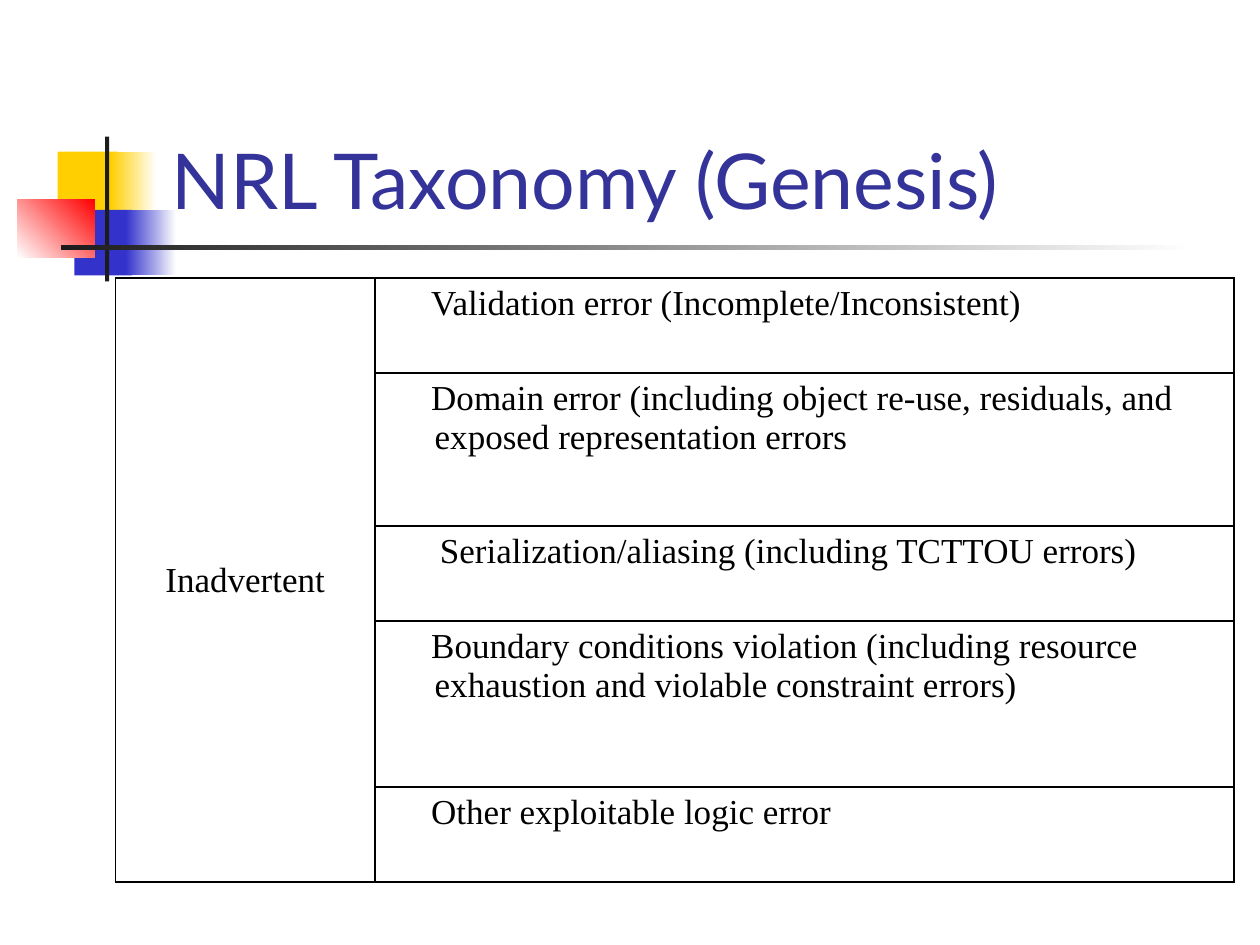
import pptx
import pptx.util
import pptx.dml.color
import pptx.enum.shapes
import pptx.enum.text
import pptx.oxml
import pptx.oxml.ns

Pt = pptx.util.Pt
PP_ALIGN = pptx.enum.text.PP_ALIGN
ANCHOR = pptx.enum.text.MSO_ANCHOR

COLORS = {
    "yellow": "FFCF01",
    "blue": "3333CC",
    "red": "FF0000",
    "dark": "1C1C1C",
    "white": "FFFFFF",
    "title": "333399",
    "text": "000000",
}

# Each error with its first-line indent relative to the hanging margin
ERRORS = [
    ("Validation error (Incomplete/Inconsistent)", -2),
    ("Domain error (including object re-use, residuals, and "
     "exposed representation errors", -2),
    ("Serialization/aliasing (including TCTTOU errors)", 3),
    ("Boundary conditions violation (including resource "
     "exhaustion and violable constraint errors)", -2),
    ("Other exploitable logic error", -2),
]


def rgb(name):
    return pptx.dml.color.RGBColor.from_string(COLORS[name])


def put_text(tf, text, size=20, font="Times New Roman", color="text",
             align=PP_ALIGN.LEFT, margin=0, indent=0):
    p = tf.paragraphs[0]
    p.alignment = align
    pPr = p._p.get_or_add_pPr()
    pPr.set("marL", str(Pt(margin)))
    pPr.set("indent", str(Pt(indent)))
    r = p.add_run()
    r.text = text
    r.font.size = Pt(size)
    r.font.name = font
    r.font.color.rgb = rgb(color)


def add_block(s, x, y, w, h, start, end=None, angle=0):
    """Rectangle in one colour, or fading from start to end."""
    sp = s.shapes.add_shape(pptx.enum.shapes.MSO_SHAPE.RECTANGLE,
                            Pt(x), Pt(y), Pt(w), Pt(h))
    sp.shadow.inherit = False
    sp.line.fill.background()
    if end is None:
        sp.fill.solid()
        sp.fill.fore_color.rgb = rgb(start)
        return
    sp.fill.gradient()
    sp.fill.gradient_angle = angle
    for stop, name, pos in zip(sp.fill.gradient_stops, (start, end), (0, 1)):
        stop.color.rgb = rgb(name)
        stop.position = pos


def add_ornament(s, x, y):
    """Coloured squares with the crossing bars, from the top left corner."""
    add_block(s, x + 23, y + 8.6, 34.5, 37.5, "yellow")
    add_block(s, x + 53.3, y + 8.6, 26, 37.5, "yellow", "white")
    add_block(s, x + 32.5, y + 42, 33, 37.4, "blue")
    add_block(s, x + 62, y + 42, 28.8, 37.4, "blue", "white")
    add_block(s, x, y + 36, 44.3, 33.4, "white", "red", angle=45)
    add_block(s, x + 50, y, 2.4, 82.8, "dark")
    add_block(s, x + 25, y + 62.2, 648, 2.5, "dark", "white")


def add_title(s, x, y, w, h, text):
    sp = s.shapes.title
    sp.left, sp.top, sp.width, sp.height = Pt(x), Pt(y), Pt(w), Pt(h)
    tf = sp.text_frame
    tf.word_wrap = True
    tf.vertical_anchor = ANCHOR.BOTTOM
    put_text(tf, text, size=44, font="Lato", color="title")


def set_borders(cell, width=1):
    tcPr = cell._tc.get_or_add_tcPr()
    for i, side in enumerate(("lnL", "lnR", "lnT", "lnB")):
        ln = pptx.oxml.parse_xml(
            f'<a:{side} {pptx.oxml.ns.nsdecls("a")} w="{Pt(width)}">'
            f'<a:solidFill><a:srgbClr val="{COLORS["text"]}"/></a:solidFill>'
            f'</a:{side}>')
        tcPr.insert(i, ln)


def add_taxonomy(s, x, y, col_widths, row_heights):
    """Table with one group cell spanning all of its errors."""
    tbl = s.shapes.add_table(len(row_heights), len(col_widths), Pt(x), Pt(y),
                             Pt(sum(col_widths)), Pt(sum(row_heights))).table
    tbl.first_row = tbl.horz_banding = False
    for col, w in zip(tbl.columns, col_widths):
        col.width = Pt(w)
    for row, h in zip(tbl.rows, row_heights):
        row.height = Pt(h)
    for cell in tbl.iter_cells():
        cell.fill.background()
        set_borders(cell)

    # Group
    group = tbl.cell(0, 0)
    group.merge(tbl.cell(len(row_heights) - 1, 0))
    group.vertical_anchor = ANCHOR.MIDDLE
    put_text(group.text_frame, "Inadvertent", align=PP_ALIGN.CENTER)

    # Errors
    for i, (text, indent) in enumerate(ERRORS):
        put_text(tbl.cell(i, 1).text_frame, text, margin=27, indent=indent)


def main():
    prs = pptx.Presentation()
    prs.slide_width, prs.slide_height = Pt(720), Pt(540)
    s = prs.slides.add_slide(prs.slide_layouts[5])
    add_ornament(s, 10, 78)
    add_title(s, 91, 16.5, 613.5, 115.5, "NRL Taxonomy (Genesis)")
    add_taxonomy(s, 66, 159, (148.2, 491), (54.3, 87.4, 54.3, 94.9, 54.3))
    prs.save("out.pptx")


if __name__ == "__main__":
    main()
